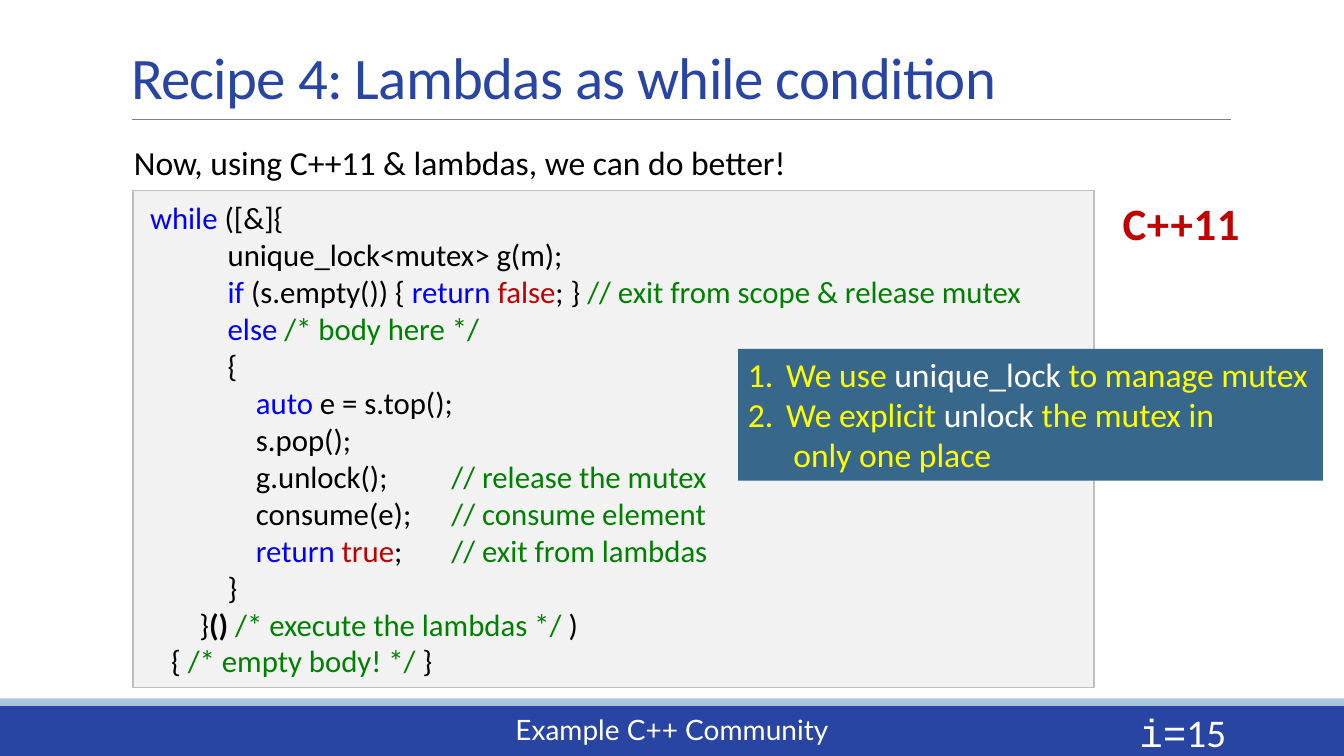
"""Build the slide on using a lambda as a while condition."""
import pptx
import pptx.dml.color
import pptx.enum.shapes
import pptx.enum.text
import pptx.oxml
import pptx.oxml.ns
import pptx.util
from pptx.dml.color import RGBColor
from pptx.util import Inches

NAVY = RGBColor(0x29, 0x45, 0xA4)
PALE_BLUE = RGBColor(0xAB, 0xC7, 0xDD)
STEEL = RGBColor(0x38, 0x67, 0x8C)
GREY = RGBColor(0x80, 0x80, 0x80)
PANEL = RGBColor(0xF2, 0xF2, 0xF2)
PANEL_EDGE = RGBColor(0xBF, 0xBF, 0xBF)
WHITE = RGBColor(0xFF, 0xFF, 0xFF)
BLACK = RGBColor(0x00, 0x00, 0x00)
YELLOW = RGBColor(0xFF, 0xFF, 0x00)
BLUE = RGBColor(0x00, 0x00, 0xFF)
RED = RGBColor(0xC0, 0x00, 0x00)
GREEN = RGBColor(0x00, 0x80, 0x00)

ALIGN = pptx.enum.text.PP_ALIGN
ANCHOR = pptx.enum.text.MSO_ANCHOR
INDENT_STEP = 0.28
COMMENT_TAB = 3.06

CODE = [
    (0.25, [("while", BLUE), (" ([&]{", BLACK)]),
    (3, [("unique_lock<mutex> g(m);", BLACK)]),
    (3, [("if", BLUE), (" (s.empty()) { ", BLACK), ("return ", BLUE),
         ("false", RED), ("; } ", BLACK),
         ("// exit from scope & release mutex", GREEN)]),
    (3, [("else ", BLUE), ("/* body here */", GREEN)]),
    (3, [("{", BLACK)]),
    (4, [("auto", BLUE), (" e = s.top();", BLACK)]),
    (4, [("s.pop();", BLACK)]),
    (4, [("g.unlock();\t", BLACK), ("// release the mutex", GREEN)]),
    (4, [("consume(e);\t", BLACK), ("// consume element", GREEN)]),
    (4, [("return ", BLUE), ("true", RED), (";\t", BLACK),
         ("// exit from lambdas", GREEN)]),
    (3, [("}", BLACK)]),
    (2, [("}", BLACK), ("() ", BLACK, True),
         ("/* execute the lambdas */ ", GREEN), (")", BLACK)]),
    (1, [("{ ", BLACK), ("/* empty body! */ ", GREEN), ("}", BLACK)]),
]

ADVICE = [
    [("We use ", YELLOW), ("unique_lock ", WHITE), ("to manage mutex", YELLOW)],
    [("We explicit ", YELLOW), ("unlock", WHITE), (" the mutex in", YELLOW)],
]


def add_run(p, text, color, size, font="Calibri", bold=False, spacing=0):
    """Append one formatted run, with letter spacing in points."""
    r = p.add_run()
    r.text = text
    r.font.name = font
    r.font.size = pptx.util.Pt(size)
    r.font.bold = bold
    r.font.color.rgb = color
    if spacing:
        r._r.get_or_add_rPr().set("spc", str(int(spacing * 100)))


def add_paragraph(tf, runs, size):
    """Add a left-aligned paragraph of runs, using the empty first one."""
    p = tf.paragraphs[0]
    if p.runs:
        p = tf.add_paragraph()
    p.alignment = ALIGN.LEFT
    for text, color, *bold in runs:
        add_run(p, text, color, size, bold=bool(bold))
    return p


def set_indent(p, margin, first):
    """Set the left margin and first-line indent in inches."""
    pPr = p._p.get_or_add_pPr()
    pPr.set("marL", str(Inches(margin)))
    pPr.set("indent", str(Inches(first)))
    return pPr


def append_element(parent, tag, **attributes):
    """Append a DrawingML element with the given attributes."""
    ns = pptx.oxml.ns.nsdecls("a")
    element = pptx.oxml.parse_xml(f"<a:{tag} {ns}/>")
    for name, value in attributes.items():
        element.set(name, str(value))
    parent.append(element)
    return element


def add_rect(slide, left, top, width, height, fill, line=None):
    """Add a flat rectangle with an optional outline."""
    sp = slide.shapes.add_shape(
        pptx.enum.shapes.MSO_SHAPE.RECTANGLE,
        Inches(left), Inches(top), Inches(width), Inches(height))
    sp.shadow.inherit = False
    sp.fill.solid()
    sp.fill.fore_color.rgb = fill
    if line is None:
        sp.line.fill.background()
    else:
        sp.line.color.rgb = line
        sp.line.width = pptx.util.Pt(1.25)
    return sp


def add_text(slide, left, top, width, height, wrap=True, anchor=ANCHOR.TOP):
    """Add a text box and return its text frame."""
    sp = slide.shapes.add_textbox(
        Inches(left), Inches(top), Inches(width), Inches(height))
    tf = sp.text_frame
    tf.word_wrap = wrap
    tf.vertical_anchor = anchor
    return tf


def add_title(slide, text):
    """Place and fill the title placeholder with its rule beneath."""
    sp = slide.shapes.title
    sp.left, sp.top = Inches(1.2), Inches(0.01)
    sp.width, sp.height = Inches(11), Inches(1.15)
    tf = sp.text_frame
    tf.auto_size = pptx.enum.text.MSO_AUTO_SIZE.NONE
    tf.vertical_anchor = ANCHOR.BOTTOM
    p = tf.paragraphs[0]
    p.alignment = ALIGN.LEFT
    p.line_spacing = 0.85
    add_run(p, text, NAVY, 42, spacing=-0.5)
    rule = slide.shapes.add_connector(
        pptx.enum.shapes.MSO_CONNECTOR.STRAIGHT,
        Inches(1.31), Inches(1.18), Inches(12.21), Inches(1.18))
    rule.line.color.rgb = GREY
    rule.line.width = pptx.util.Pt(0.5)
    append_element(rule._element.spPr, "effectLst")


def add_footer(slide, text, number):
    """Add the footer bands, the centred name and the page number."""
    add_rect(slide, 0, 7, 13.33, 0.5, NAVY)
    add_rect(slide, 0, 6.93, 13.33, 0.07, PALE_BLUE)
    p = add_text(slide, 0, 7.02, 13.33, 0.44).paragraphs[0]
    p.alignment = ALIGN.CENTER
    add_run(p, text, WHITE, 20, font="Lato")
    p = add_text(slide, 10.83, 7.06, 1.43, 0.4, anchor=ANCHOR.MIDDLE).paragraphs[0]
    p.alignment = ALIGN.RIGHT
    add_run(p, "i=", WHITE, 28, font="Courier New")
    add_run(p, number, WHITE, 28)


def add_code(slide, lines):
    """Add the code panel, with tab stops for its levels and comments."""
    tf = add_rect(slide, 1.32, 1.89, 9.53, 4.93, PANEL, PANEL_EDGE).text_frame
    tf.word_wrap = True
    tf.vertical_anchor = ANCHOR.MIDDLE
    for level, runs in lines:
        p = add_paragraph(tf, [("\t", BLACK), *runs], 22)
        stops = append_element(p._p.get_or_add_pPr(), "tabLst")
        for stop in (level * INDENT_STEP, COMMENT_TAB):
            append_element(stops, "tab", pos=Inches(stop), algn="l")


def add_advice(slide, items, ending):
    """Add the numbered callout and its closing line."""
    tf = add_rect(slide, 7.32, 3.46, 5.8, 1.31, STEEL).text_frame
    tf.word_wrap = False
    tf.vertical_anchor = ANCHOR.TOP
    for runs in items:
        pPr = set_indent(add_paragraph(tf, runs, 24), 0.38, -0.38)
        append_element(pPr, "buAutoNum", type="arabicPeriod")
    set_indent(add_paragraph(tf, [(ending, YELLOW)], 24), 0.45, 0)


def main():
    """Build and save the slide."""
    prs = pptx.Presentation()
    prs.slide_width, prs.slide_height = Inches(13.33), Inches(7.5)
    slide = prs.slides.add_slide(prs.slide_layouts[5])
    add_footer(slide, "Example C++ Community", "15")
    add_title(slide, "Recipe 4: Lambdas as while condition")
    intro = add_text(slide, 1.23, 1.36, 10.71, 0.5)
    add_paragraph(intro, [("Now, using C++11 & lambdas, we can do better!", BLACK)], 24)
    add_code(slide, CODE)
    add_advice(slide, ADVICE, "only one place")
    p = add_text(slide, 11.02, 1.89, 1.39, 0.64, wrap=False).paragraphs[0]
    p.alignment = ALIGN.CENTER
    add_run(p, "C++11", RED, 32, bold=True, spacing=0.5)
    prs.save("out.pptx")


if __name__ == "__main__":
    main()
